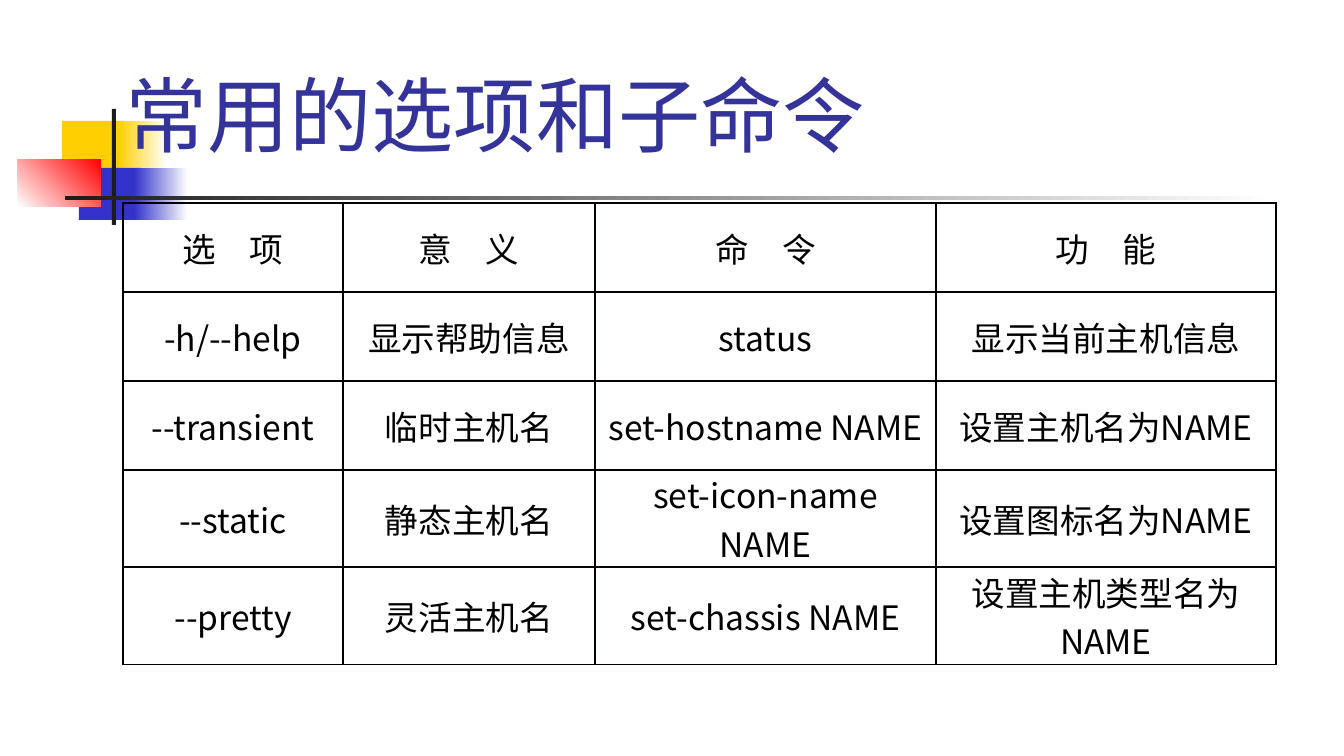
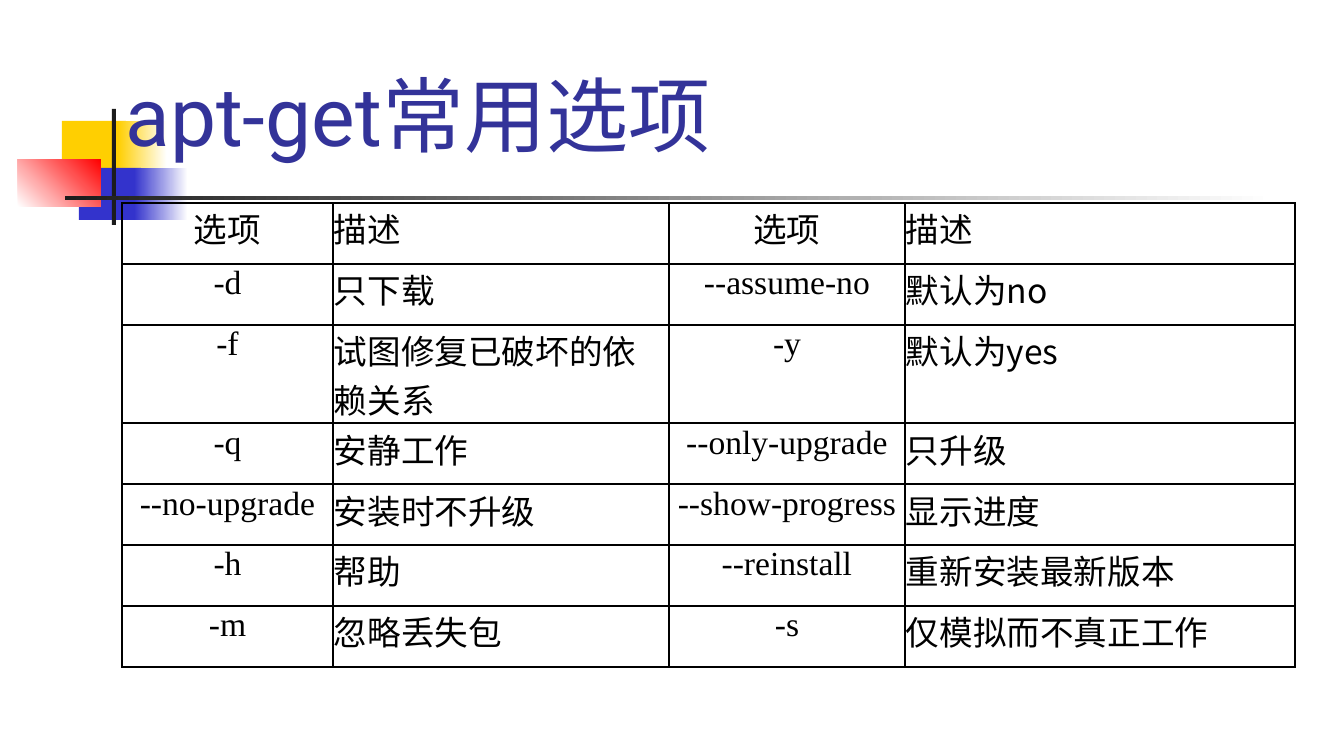
import lxml.etree
import pptx
import pptx.dml.color
import pptx.enum.shapes
import pptx.enum.text
import pptx.oxml.ns
import pptx.util

HUES = {
    "gold": "FFCF01", "blue": "3333CC", "red": "FF0000", "dark": "1C1C1C",
    "white": "FFFFFF", "title": "333399", "text": "000000", "edge": "080000",
}
SANS, SERIF, HEAD = "Noto Sans CJK SC", "Times New Roman", "Roboto"
SCALE = 914400 / 134.4
SIZE = (1344, 756)
TITLE = (112, 44, 1199, 126)

BANDS = [
    ((62, 121, 64, 53), ["gold"], 0),
    ((118, 121, 49, 53), ["gold", "white"], 0),
    ((79, 168, 62, 52), ["blue"], 0),
    ((134, 168, 54, 52), ["blue", "white"], 0),
    ((18, 159, 83, 48), ["white", "red"], 45),
    ((112, 109, 4, 116), ["dark"], 0),
    ((65, 196, 1209, 4), ["dark", "white"], 0),
]

SLIDES = [
    {
        "title": "常用的选项和子命令",
        "at": (123, 203), "cols": [220, 252, 341, 340], "high": 89,
        "pad": (9, 0, 9, 0), "mid": True, "edge": "edge",
        "align": "cccc", "fonts": [SANS] * 4,
        "rows": [
            ("选　项", "意　义", "命　令", "功　能"),
            ("-h/--help", "显示帮助信息", "status", "显示当前主机信息"),
            ("--transient", "临时主机名", "set-hostname NAME", "设置主机名为NAME"),
            ("--static", "静态主机名", "set-icon-name NAME", "设置图标名为NAME"),
            ("--pretty", "灵活主机名", "set-chassis NAME", "设置主机类型名为NAME"),
        ],
    },
    {
        "title": "apt-get常用选项",
        "at": (122, 203), "cols": [211, 336, 236, 390], "high": 61,
        "pad": (1, 1, 1, 0), "mid": False, "edge": "text",
        "align": "clcl", "fonts": [SERIF, SANS, SERIF, SANS],
        "rows": [
            ("选项", "描述", "选项", "描述"),
            ("-d", "只下载", "--assume-no", "默认为no"),
            ("-f", "试图修复已破坏的依赖关系", "-y", "默认为yes"),
            ("-q", "安静工作", "--only-upgrade", "只升级"),
            ("--no-upgrade", "安装时不升级", "--show-progress", "显示进度"),
            ("-h", "帮助", "--reinstall", "重新安装最新版本"),
            ("-m", "忽略丢失包", "-s", "仅模拟而不真正工作"),
        ],
    },
]

ALIGN = {"c": pptx.enum.text.PP_ALIGN.CENTER, "l": pptx.enum.text.PP_ALIGN.LEFT}
ANCHOR = pptx.enum.text.MSO_ANCHOR


def px(num):
    return pptx.util.Emu(round(num * SCALE))


def rgb(name):
    return pptx.dml.color.RGBColor.from_string(HUES[name])


def style(par, face, size, hue, align):
    par.alignment = ALIGN[align]
    for run in par.runs:
        font = run.font
        font.name, font.size = face, pptx.util.Pt(size)
        font.color.rgb = rgb(hue)
        props = run._r.get_or_add_rPr()
        east = lxml.etree.SubElement(props, pptx.oxml.ns.qn("a:ea"))
        east.set("typeface", SANS)


def add_bands(slide):
    tree = slide.slide_layout.shapes.element
    for num, (box, hues, angle) in enumerate(BANDS):
        band = slide.shapes.add_shape(
            pptx.enum.shapes.MSO_SHAPE.RECTANGLE, *map(px, box))
        band.shadow.inherit = False
        band.line.fill.background()
        if len(hues) == 1:
            band.fill.solid()
            band.fill.fore_color.rgb = rgb(hues[0])
        else:
            band.fill.gradient()
            band.fill.gradient_angle = angle
            for stop, hue, spot in zip(band.fill.gradient_stops, hues, (0, 1)):
                stop.color.rgb = rgb(hue)
                stop.position = spot
        band.element.nvSpPr.cNvPr.set("id", str(20 + num))
        tree.append(band.element)


def add_title(slide, text):
    head = slide.shapes.title
    head.left, head.top, head.width, head.height = map(px, TITLE)
    frame = head.text_frame
    frame.text = text
    frame.auto_size = pptx.enum.text.MSO_AUTO_SIZE.NONE
    frame.vertical_anchor = ANCHOR.BOTTOM
    style(frame.paragraphs[0], HEAD, 44, "title", "l")


def add_edges(cell, hue):
    props = cell._tc.get_or_add_tcPr()
    for num, side in enumerate("LRTB"):
        line = pptx.oxml.parse_xml(
            f'<a:ln{side} {pptx.oxml.ns.nsdecls("a")} w="12700"><a:solidFill>'
            f'<a:srgbClr val="{HUES[hue]}"/></a:solidFill></a:ln{side}>')
        props.insert(num, line)


def add_grid(slide, data):
    rows, cols, high = data["rows"], data["cols"], data["high"]
    box = (*data["at"], sum(cols), high * len(rows))
    grid = slide.shapes.add_table(len(rows), len(cols), *map(px, box)).table
    grid.first_row = grid.horz_banding = False
    for col, wide in zip(grid.columns, cols):
        col.width = px(wide)
    for r, row in enumerate(rows):
        grid.rows[r].height = px(high)
        for c, text in enumerate(row):
            cell = grid.cell(r, c)
            cell.text_frame.text = text
            cell.fill.background()
            (cell.margin_left, cell.margin_top,
             cell.margin_right, cell.margin_bottom) = map(px, data["pad"])
            cell.vertical_anchor = ANCHOR.MIDDLE if data["mid"] else ANCHOR.TOP
            face = data["fonts"][c] if r else SANS
            style(cell.text_frame.paragraphs[0], face, 18, "text", data["align"][c])
            add_edges(cell, data["edge"])


def main():
    deck = pptx.Presentation()
    deck.slide_width, deck.slide_height = map(px, SIZE)
    layout = deck.slide_layouts[5]
    for num, data in enumerate(SLIDES):
        slide = deck.slides.add_slide(layout)
        if num == 0:
            add_bands(slide)
        add_title(slide, data["title"])
        add_grid(slide, data)
    deck.save("out.pptx")


if __name__ == "__main__":
    main()
